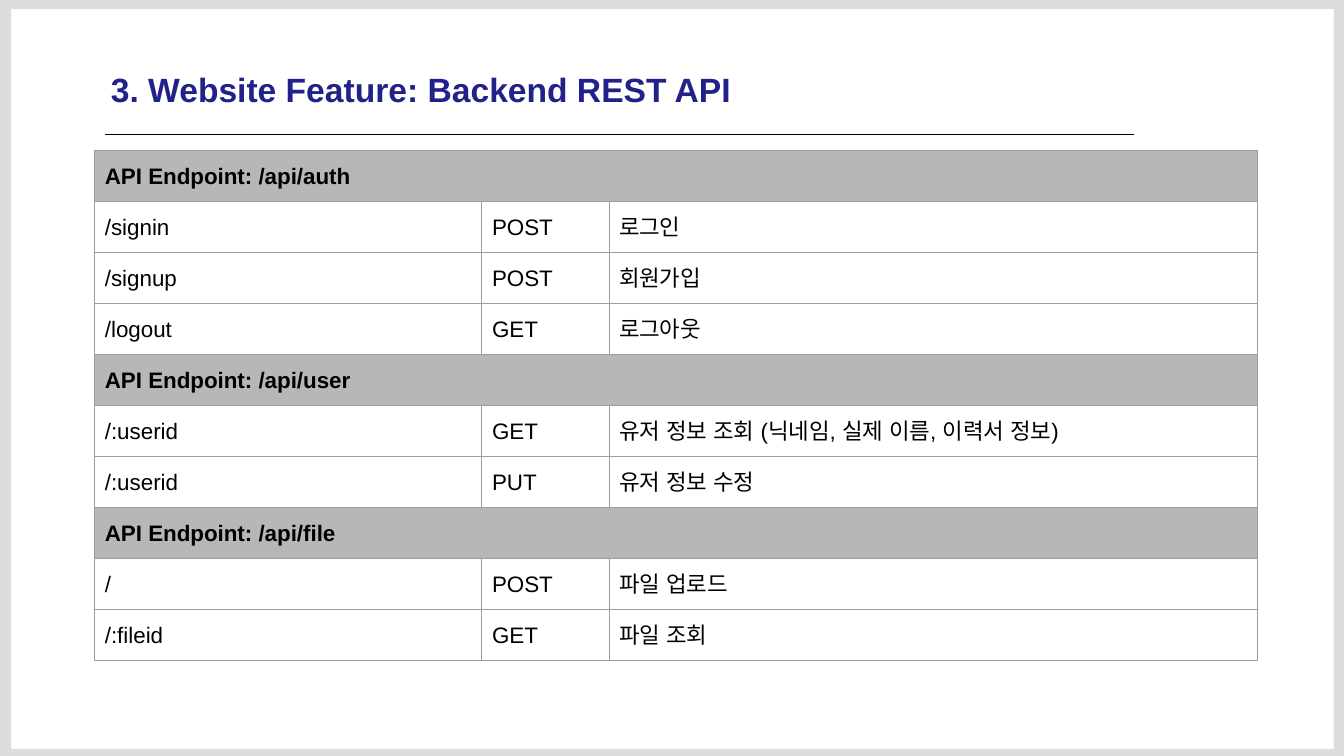
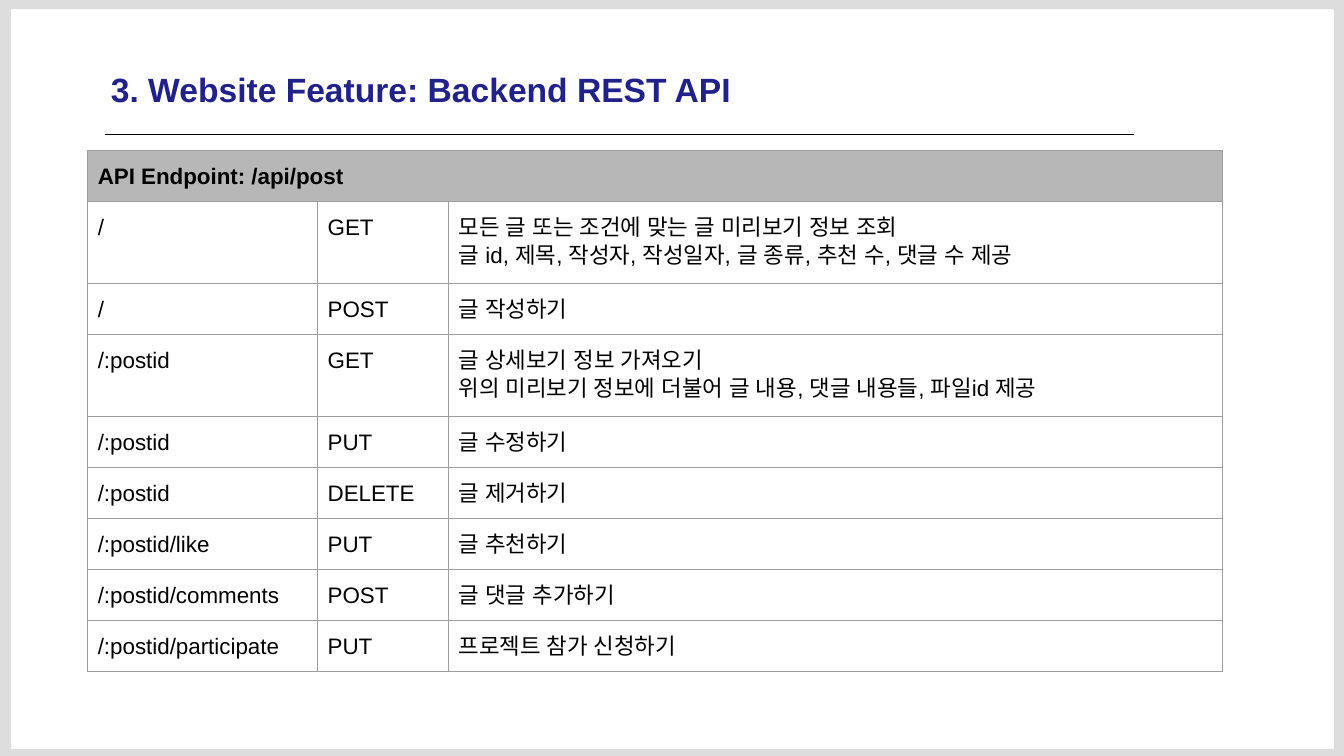
from lxml.etree import SubElement
from pptx import Presentation
from pptx.dml.color import RGBColor as RGB
from pptx.enum.shapes import MSO_CONNECTOR as Connector
from pptx.oxml.ns import qn
from pptx.util import Inches, Pt

THEME = {
    "frame": RGB.from_string("DDDDDD"),
    "rule": RGB.from_string("000000"),
    "band": RGB.from_string("B7B7B7"),
    "border": "9E9E9E",
    "border_width": Pt(0.75),
    "title": {"size": Pt(24), "bold": True, "color": RGB.from_string("21218A")},
    "heading": {"size": Pt(16), "bold": True, "color": RGB.from_string("000000")},
    "body": {"size": Pt(16), "bold": False, "color": RGB.from_string("000000")},
    "font": "Arial",
    "line_spacing": 1.15,
    "title_margins": {"margin_left": Inches(0.01), "margin_top": Inches(0.01),
                      "margin_right": 0, "margin_bottom": 0},
    "cell_margins": {f"margin_{side}": Inches(0.1)
                     for side in ("left", "top", "right", "bottom")},
}
WIDTH, HEIGHT = Inches(13.33), Inches(7.5)
TITLE = "3. Website Feature: Backend REST API"

PAGES = [
    {
        "left": 0.94, "title_width": 9.36, "row_height": 0.41,
        "columns": (3.84, 1.26, 6.43),
        "rows": [
            ("API Endpoint: /api/auth",),
            ("/signin", "POST", "로그인"),
            ("/signup", "POST", "회원가입"),
            ("/logout", "GET", "로그아웃"),
            ("API Endpoint: /api/user",),
            ("/:userid", "GET", "유저 정보 조회 (닉네임, 실제 이름, 이력서 정보)"),
            ("/:userid", "PUT", "유저 정보 수정"),
            ("API Endpoint: /api/file",),
            ("/", "POST", "파일 업로드"),
            ("/:fileid", "GET", "파일 조회"),
        ],
    },
    {
        "left": 0.87, "title_width": 9.92, "row_height": 0.42,
        "columns": (2.28, 1.3, 7.67),
        "rows": [
            ("API Endpoint: /api/post",),
            ("/", "GET", "모든 글 또는 조건에 맞는 글 미리보기 정보 조회\n"
                         "글 id, 제목, 작성자, 작성일자, 글 종류, 추천 수, 댓글 수 제공"),
            ("/", "POST", "글 작성하기"),
            ("/:postid", "GET", "글 상세보기 정보 가져오기\n"
                                "위의 미리보기 정보에 더불어 글 내용, 댓글 내용들, 파일id 제공"),
            ("/:postid", "PUT", "글 수정하기"),
            ("/:postid", "DELETE", "글 제거하기"),
            ("/:postid/like", "PUT", "글 추천하기"),
            ("/:postid/comments", "POST", "글 댓글 추가하기"),
            ("/:postid/participate", "PUT", "프로젝트 참가 신청하기"),
        ],
    },
]


def write(text_frame, text, style):
    text_frame.text = text
    for paragraph in text_frame.paragraphs:
        for run in paragraph.runs:
            run.font.name = THEME["font"]
            run.font.size = style["size"]
            run.font.bold = style["bold"]
            run.font.color.rgb = style["color"]
            east_asian = SubElement(run.font._element, qn("a:ea"))
            east_asian.set("typeface", THEME["font"])


def add_borders(cell):
    properties = cell._tc.get_or_add_tcPr()
    for side in ("lnL", "lnR", "lnT", "lnB"):
        border = SubElement(properties, qn(f"a:{side}"), w=str(THEME["border_width"]))
        fill = SubElement(border, qn("a:solidFill"))
        SubElement(fill, qn("a:srgbClr"), val=THEME["border"])


deck = Presentation()
deck.slide_width, deck.slide_height = WIDTH, HEIGHT

for page in PAGES:
    slide = deck.slides.add_slide(deck.slide_layouts[6])
    shapes = slide.shapes

    rule = shapes.add_connector(Connector.STRAIGHT, Inches(1.04), Inches(1.33),
                                Inches(11.25), Inches(1.33))
    rule.line.color.rgb = THEME["rule"]
    rule.line.width = Pt(0.75)
    SubElement(rule._element.spPr, qn("a:effectLst"))

    outline = shapes.build_freeform(0, 0)
    outline.add_line_segments([(WIDTH, 0), (WIDTH, HEIGHT), (0, HEIGHT)])
    left, right = Inches(0.11), Inches(13.23)
    top, bottom = Inches(0.09), Inches(7.43)
    outline.move_to(left, top)
    outline.add_line_segments([(left, bottom), (right, bottom), (right, top)])
    frame = outline.convert_to_shape()
    frame.shadow.inherit = False
    frame.fill.solid()
    frame.fill.fore_color.rgb = THEME["frame"]
    frame.line.fill.background()

    title = shapes.add_textbox(Inches(1.09), Inches(0.67),
                               Inches(page["title_width"]), Inches(0.42)).text_frame
    title.word_wrap = True
    for name, value in THEME["title_margins"].items():
        setattr(title, name, value)
    write(title, TITLE, THEME["title"])

    rows, columns = page["rows"], page["columns"]
    endpoints = shapes.add_table(
        len(rows), len(columns), Inches(page["left"]), Inches(1.49),
        Inches(sum(columns)), Inches(page["row_height"] * len(rows))).table
    endpoints.first_row = endpoints.horz_banding = False
    for column, width in zip(endpoints.columns, columns):
        column.width = Inches(width)

    for table_row, texts in zip(endpoints.rows, rows):
        table_row.height = Inches(page["row_height"])
        cells = list(table_row.cells)
        is_heading = len(texts) == 1
        if is_heading:
            cells[0].merge(cells[-1])
        for cell in cells:
            add_borders(cell)
            if is_heading:
                cell.fill.solid()
                cell.fill.fore_color.rgb = THEME["band"]
            else:
                cell.fill.background()
            for name, value in THEME["cell_margins"].items():
                setattr(cell, name, value)
        for cell, text in zip(cells, texts):
            write(cell.text_frame, text, THEME["heading" if is_heading else "body"])
            for paragraph in cell.text_frame.paragraphs:
                paragraph.line_spacing = THEME["line_spacing"]

deck.save("out.pptx")
